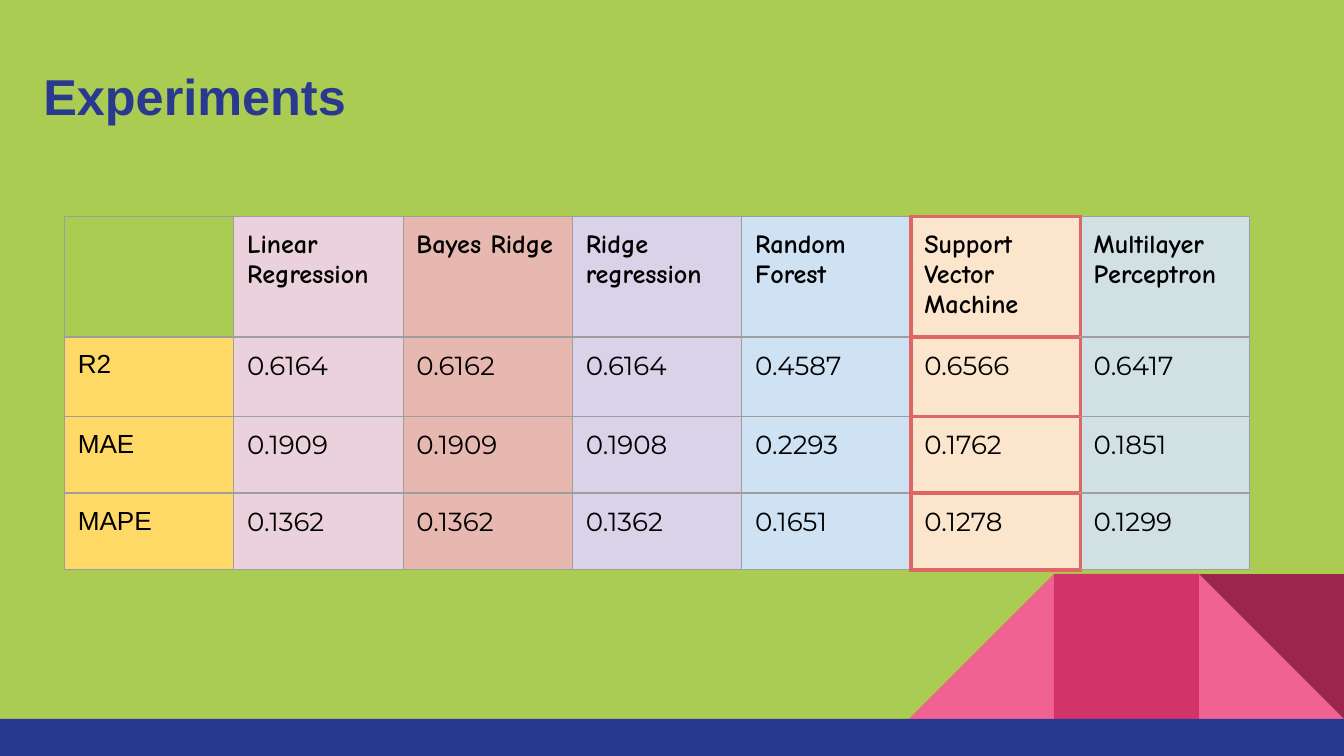
"""Build the Experiments slide with its table of model scores."""
from dataclasses import dataclass

from lxml.etree import SubElement
from pptx import Presentation
from pptx.dml.color import RGBColor
from pptx.enum.shapes import MSO_SHAPE
from pptx.oxml.ns import qn
from pptx.util import Cm, Pt


@dataclass(frozen=True)
class Theme:
    back: str = "AACC52"
    navy: str = "2A3990"
    pink: str = "F06292"
    rose: str = "D23369"
    wine: str = "9C254D"
    ink: str = "000000"
    grid: str = "9E9E9E"
    mark: str = "E06666"
    tints: tuple = ("FFD966", "EAD1DC", "E6B8AF", "D9D2E9", "CFE2F3", "FCE5CD", "D0E0E3")
    sans: str = "Arial"
    head: str = "Comic Neue"
    data: str = "Montserrat"
    title: float = 27
    body: float = 14
    thin: float = 0.75
    thick: float = 2.25
    inset: float = 0.25


class Board:
    def __init__(self, slide, theme):
        self.slide = slide
        self.theme = theme
        self.paint(slide.background.fill, theme.back)

    def paint(self, fill, color):
        fill.solid()
        fill.fore_color.rgb = RGBColor.from_string(color)

    def label(self, frame, text, face, size, color, bold=False):
        frame.word_wrap = True
        line = frame.paragraphs[0]
        line.text = text
        font = line.font
        font.name, font.size, font.bold = face, Pt(size), bold
        font.color.rgb = RGBColor.from_string(color)

    def shape(self, kind, left, top, width, height, color, flip=False, turn=0):
        item = self.slide.shapes.add_shape(kind, Cm(left), Cm(top), Cm(width), Cm(height))
        item.shadow.inherit = False
        self.paint(item.fill, color)
        item.line.fill.background()
        item.rotation = turn
        if flip:
            item._element.spPr.find(qn("a:xfrm")).set("flipH", "1")

    def pad(self, box):
        box.margin_left = box.margin_right = Cm(self.theme.inset)
        box.margin_top = box.margin_bottom = Cm(self.theme.inset)

    def title(self, text, left, top, width, height):
        frame = self.slide.shapes.add_textbox(Cm(left), Cm(top), Cm(width), Cm(height)).text_frame
        self.pad(frame)
        self.label(frame, text, self.theme.sans, self.theme.title, self.theme.navy, True)

    def border(self, cell, heavy):
        props = cell._tc.get_or_add_tcPr()
        for side in "LRTB":
            width, color = ((self.theme.thick, self.theme.mark) if side in heavy
                            else (self.theme.thin, self.theme.grid))
            line = SubElement(props, qn(f"a:ln{side}"), w=str(Pt(width)))
            SubElement(SubElement(line, qn("a:solidFill")), qn("a:srgbClr"), val=color)

    def table(self, rows, left, top, width, heights, best):
        count = len(rows[0])
        grid = self.slide.shapes.add_table(
            len(rows), count, Cm(left), Cm(top), Cm(width * count), Cm(sum(heights))).table
        grid.first_row = grid.horz_banding = False
        heavy = {best - 1: "R", best: "LRTB", best + 1: "L"}
        for col in grid.columns:
            col.width = Cm(width)
        for r, row in enumerate(rows):
            grid.rows[r].height = Cm(heights[r])
            for c, text in enumerate(row):
                cell = grid.cell(r, c)
                self.pad(cell)
                self.border(cell, heavy.get(c, ""))
                if text:
                    self.paint(cell.fill, self.theme.tints[c])
                else:
                    cell.fill.background()
                face = self.theme.head if r == 0 else self.theme.data if c else self.theme.sans
                self.label(cell.text_frame, text, face, self.theme.body, self.theme.ink, r == 0)


def main():
    theme = Theme()
    deck = Presentation()
    deck.slide_width, deck.slide_height = Cm(25.4), Cm(14.29)
    board = Board(deck.slides.add_slide(deck.slide_layouts[6]), theme)

    side, base = 2.74, 13.59
    top, right = base - side, 25.4 - side
    wedge, block = MSO_SHAPE.RIGHT_TRIANGLE, MSO_SHAPE.RECTANGLE
    board.shape(wedge, right, top, side, side, theme.pink)
    board.shape(wedge, right - 2 * side, top, side, side, theme.pink, flip=True)
    board.shape(block, right - side, top, side, side, theme.rose)
    board.shape(wedge, right, top, side, side, theme.wine, turn=180)
    board.shape(block, 0, base, 25.4, 0.7, theme.navy)

    board.title("Experiments", 0.57, 0.99, 23.67, 1.6)
    rows = [
        ["", "Linear Regression", "Bayes Ridge", "Ridge regression", "Random Forest",
         "Support Vector Machine", "Multilayer Perceptron"],
        ["R2", "0.6164", "0.6162", "0.6164", "0.4587", "0.6566", "0.6417"],
        ["MAE", "0.1909", "0.1909", "0.1908", "0.2293", "0.1762", "0.1851"],
        ["MAPE", "0.1362", "0.1362", "0.1362", "0.1651", "0.1278", "0.1299"],
    ]
    board.table(rows, 1.22, 4.09, 3.2, [2.21, 1.5, 1.45, 1.45], best=5)
    deck.save("out.pptx")


if __name__ == "__main__":
    main()
